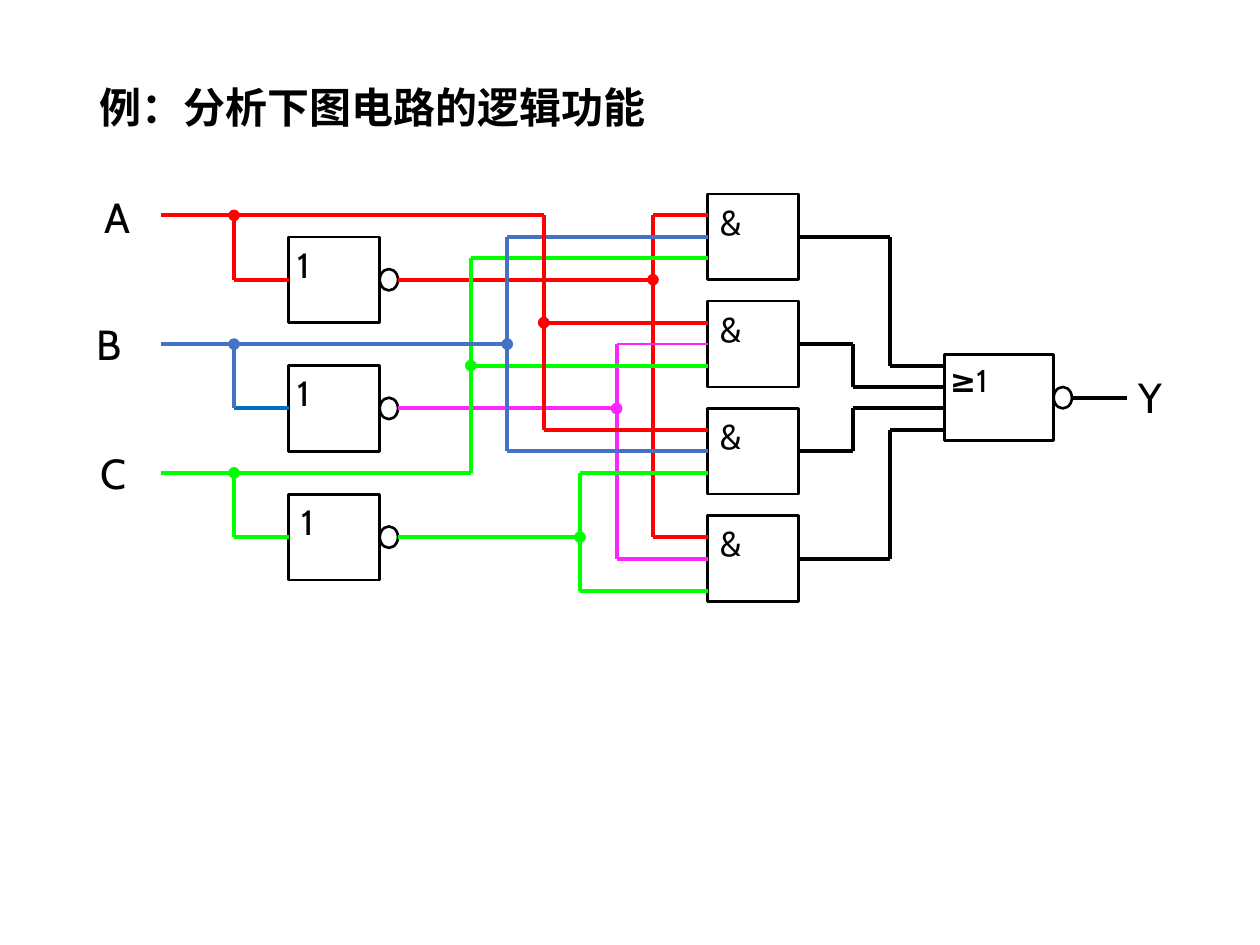
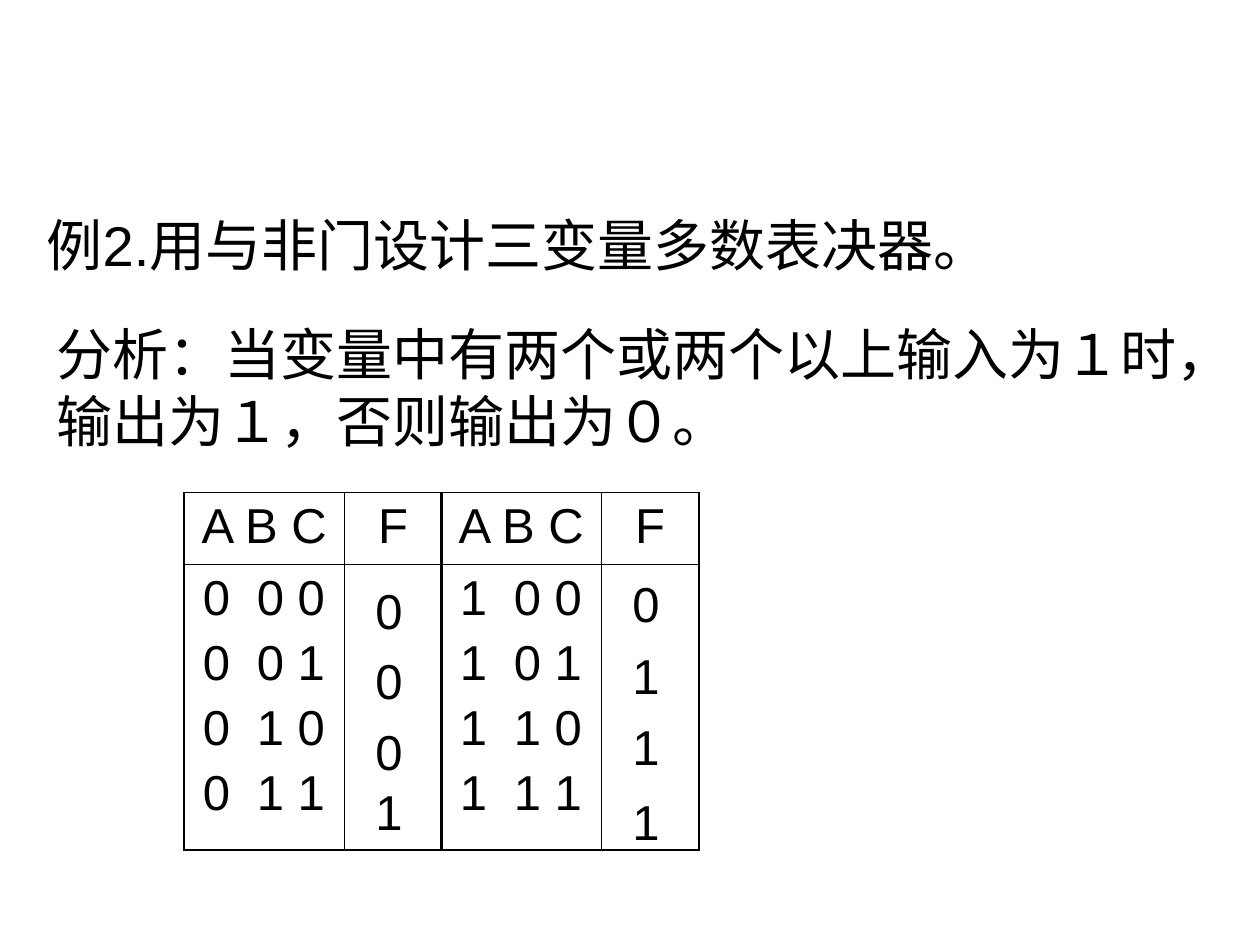
"""Two slides on combinational logic: a gate circuit to analyse and a majority voter truth table."""
from lxml import etree
from pptx import Presentation
from pptx.dml.color import RGBColor
from pptx.enum.shapes import MSO_CONNECTOR, MSO_SHAPE
from pptx.enum.text import MSO_ANCHOR, PP_ALIGN
from pptx.oxml import parse_xml
from pptx.oxml.ns import nsdecls, qn
from pptx.util import Cm, Pt

STRAIGHT = MSO_CONNECTOR.STRAIGHT
RECT, OVAL = MSO_SHAPE.RECTANGLE, MSO_SHAPE.OVAL
BOTTOM, CENTER = MSO_ANCHOR.BOTTOM, PP_ALIGN.CENTER

BLACK = RGBColor(0x00, 0x00, 0x00)
RED = RGBColor(0xFF, 0x01, 0x01)
GREEN = RGBColor(0x00, 0xFF, 0x00)
BLUE = RGBColor(0x44, 0x72, 0xC4)
DEEP_BLUE = RGBColor(0x00, 0x70, 0xC0)
MAGENTA = RGBColor(0xFF, 0x25, 0xFF)

CJK = "Noto Sans CJK JP"
TITLE = {"name": CJK, "size": Pt(24), "bold": True}
SIGNAL = {"name": "Cabin", "size": Pt(24)}
GATE = {"name": "Cabin", "size": Pt(20)}
OR_SIGN = {"name": "Cabin", "size": Pt(18), "bold": True}
OR_ONE = {"name": "Cabin", "size": Pt(18)}
BODY = {"name": "Arial", "size": Pt(32)}
DIGIT = {"name": "Arial", "size": Pt(28)}

LEFT, TOP = 3.25, 3.91
DX, DY = 19.46 / 53, 8 / 18.5


def add_run(p, text, fmt):
    r = p.add_run()
    r.text = text
    r.font.color.rgb = BLACK
    for name, value in fmt.items():
        setattr(r.font, name, value)
    if fmt["name"] == CJK:
        etree.SubElement(r.font._element, qn("a:ea"), typeface=CJK)


def add_text(s, x, y, w, h, lines, fmt, gap=0):
    tf = s.shapes.add_textbox(Cm(x), Cm(y), Cm(w), Cm(h)).text_frame
    tf.word_wrap = True
    for i, line in enumerate(lines):
        p = tf.add_paragraph() if i else tf.paragraphs[0]
        if i:
            p.space_before = Pt(gap)
        add_run(p, line, fmt)
    return tf


prs = Presentation()
prs.slide_width, prs.slide_height = Cm(25.4), Cm(19.05)
blank = prs.slide_layouts[6]

s = prs.slides.add_slide(blank)
tf = add_text(s, 1.7, 1.52, 11.63, 1.27, ["例：分析下图电路的逻辑功能"], TITLE)
tf.vertical_anchor = BOTTOM
tf.paragraphs[0].alignment = CENTER

inverters = [(7, row, 5, 4) for row in (2, 8, 14)]
ands = [(30, row, 5, 4) for row in (0, 5, 10, 15)]
or_gate = (43, 7.5, 6, 4)
bubbles = [(col + w, row + 1.5, 1, 1) for col, row, w, h in inverters + [or_gate]]

ports = {}
for kind, boxes in ((RECT, inverters + ands + [or_gate]), (OVAL, bubbles)):
    for col, row, w, h in boxes:
        sp = s.shapes.add_shape(kind, Cm(LEFT + col * DX), Cm(TOP + row * DY), Cm(w * DX), Cm(h * DY))
        sp.shadow.inherit = False
        sp.fill.background()
        sp.line.color.rgb = BLACK
        sp.line.width = Pt(1.5)
        if kind == RECT:
            ports[col, row + h / 2] = sp, 1
            ports[col + w, row + h / 2] = sp, 3

wires = [
    (RED, 4, 4, 7, 4, False),
    (DEEP_BLUE, 7, 10, 4, 10, False),
    (GREEN, 7, 16, 4, 16, False),
    (RED, 0, 1, 21, 1, False),
    (RED, 4, 4, 4, 1, True),
    (GREEN, 0, 13, 17, 13, False),
    (GREEN, 4, 16, 4, 13, True),
    (RED, 13, 4, 27, 4, True),
    (RED, 30, 1, 27, 1, False),
    (RED, 27, 1, 27, 16, False),
    (RED, 27, 16, 30, 16, False),
    (MAGENTA, 30, 7, 25, 7, False),
    (MAGENTA, 30, 17, 25, 17, False),
    (MAGENTA, 25, 7, 25, 17, False),
    (MAGENTA, 13, 10, 25, 10, True),
    (GREEN, 30, 13, 23, 13, False),
    (GREEN, 30, 18.5, 23, 18.5, False),
    (GREEN, 23, 18.5, 23, 13, False),
    (GREEN, 13, 16, 23, 16, True),
    (GREEN, 30, 8, 17, 8, True),
    (GREEN, 30, 3, 17, 3, False),
    (BLUE, 30, 2, 19, 2, False),
    (RED, 30, 6, 21, 6, True),
    (RED, 30, 11, 21, 11, False),
    (GREEN, 17, 3, 17, 13, False),
    (BLUE, 30, 12, 19, 12, False),
    (BLUE, 19, 12, 19, 2, False),
    (RED, 21, 11, 21, 1, False),
    (BLUE, 0, 7, 19, 7, True),
    (BLUE, 4, 10, 4, 7, True),
    (BLACK, 50, 9.5, 53, 9.5, False),
]
for out_row, bend, in_row in ((2, 40, 8), (7, 38, 9), (12, 38, 10), (17, 40, 11)):
    wires += [
        (BLACK, 35, out_row, bend, out_row, False),
        (BLACK, bend, out_row, bend, in_row, False),
        (BLACK, bend, in_row, 43, in_row, False),
    ]
for color, x1, y1, x2, y2, dot in wires:
    c = s.shapes.add_connector(STRAIGHT, Cm(LEFT + x1 * DX), Cm(TOP + y1 * DY),
                               Cm(LEFT + x2 * DX), Cm(TOP + y2 * DY))
    if (x1, y1) in ports:
        c.begin_connect(*ports[x1, y1])
    if (x2, y2) in ports:
        c.end_connect(*ports[x2, y2])
    c.line.color.rgb = color
    c.line.width = Pt(1.5 if (color, y1, y2) == (MAGENTA, 7, 7) else 2.25)
    if dot:
        etree.SubElement(c.line._get_or_add_ln(), qn("a:tailEnd"), type="oval")
    etree.SubElement(c._element.spPr, qn("a:effectLst"))

for name, x, y in (("A", 1.85, 3.73), ("B", 1.7, 6.3), ("C", 1.78, 8.89), ("Y", 22.71, 7.37)):
    add_text(s, x, y, 1.02, 1.27, [name], SIGNAL)
for (col, row, w, h), shift in zip(inverters, (-0.08, -0.08, 0)):
    add_text(s, LEFT + col * DX + shift, TOP + row * DY, 0.89, 1.12, ["1"], GATE)
for col, row, w, h in ands:
    add_text(s, LEFT + col * DX, TOP + row * DY, 0.99, 1.12, ["&"], GATE)
tf = add_text(s, 19.05, 7.16, 1.35, 1.02, ["≥"], OR_SIGN)
tf.margin_left = Cm(0.1)
add_run(tf.paragraphs[0], "1", OR_ONE)

s = prs.slides.add_slide(blank)
add_text(s, 0.69, 4.11, 23.19, 1.63, ["例2.用与非门设计三变量多数表决器。"], BODY)
add_text(s, 0.89, 6.32, 23.19, 2.97, ["分析：当变量中有两个或两个以上输入为１时，输出为１，否则输出为０。"], BODY)

THICK, THIN = Pt(1.08), Pt(0.45)
for x, a in ((3.71, "0"), (8.89, "1")):
    table = s.shapes.add_table(2, 2, Cm(x), Cm(9.93), Cm(5.2), Cm(7.21)).table
    table.first_row = table.horz_banding = False
    for i, width in enumerate((3.23, 1.97)):
        table.columns[i].width = Cm(width)
    for i, height in enumerate((1.45, 5.76)):
        table.rows[i].height = Cm(height)
    for i in range(2):
        for j in range(2):
            cell = table.cell(i, j)
            tcPr = cell._tc.get_or_add_tcPr()
            for side, outer in (("L", j == 0), ("R", j == 1), ("T", i == 0), ("B", i == 1)):
                tcPr.append(parse_xml(
                    f'<a:ln{side} {nsdecls("a")} w="{THICK if outer else THIN}"><a:solidFill>'
                    f'<a:srgbClr val="{BLACK}"/></a:solidFill></a:ln{side}>'))
            cell.fill.background()
    for j, head in enumerate(("A B C", "F")):
        p = table.cell(0, j).text_frame.paragraphs[0]
        p.alignment = CENTER
        add_run(p, head, DIGIT)
    cell = table.cell(1, 0)
    cell.margin_left = Cm(0.38)
    tf = cell.text_frame
    for i, bc in enumerate(("0 0", "0 1", "1 0", "1 1")):
        p = tf.add_paragraph() if i else tf.paragraphs[0]
        if i:
            p.space_before = Pt(6.1)
        tabs = etree.SubElement(p._p.get_or_add_pPr(), qn("a:tabLst"))
        etree.SubElement(tabs, qn("a:tab"), pos=str(Cm(1.09)), algn="l")
        add_run(p, f"{a}\t{bc}", DIGIT)

add_text(s, 7.32, 11.57, 2.39, 4.19, ["0", "0", "0"], DIGIT, 6.7)
for x, y, f in ((7.32, 15.63, "1"), (12.5, 11.44, "0"), (12.5, 12.89, "1"),
                (12.5, 14.31, "1"), (12.5, 15.84, "1")):
    add_text(s, x, y, 0.99, 1.45, [f], DIGIT)

prs.save("out.pptx")
